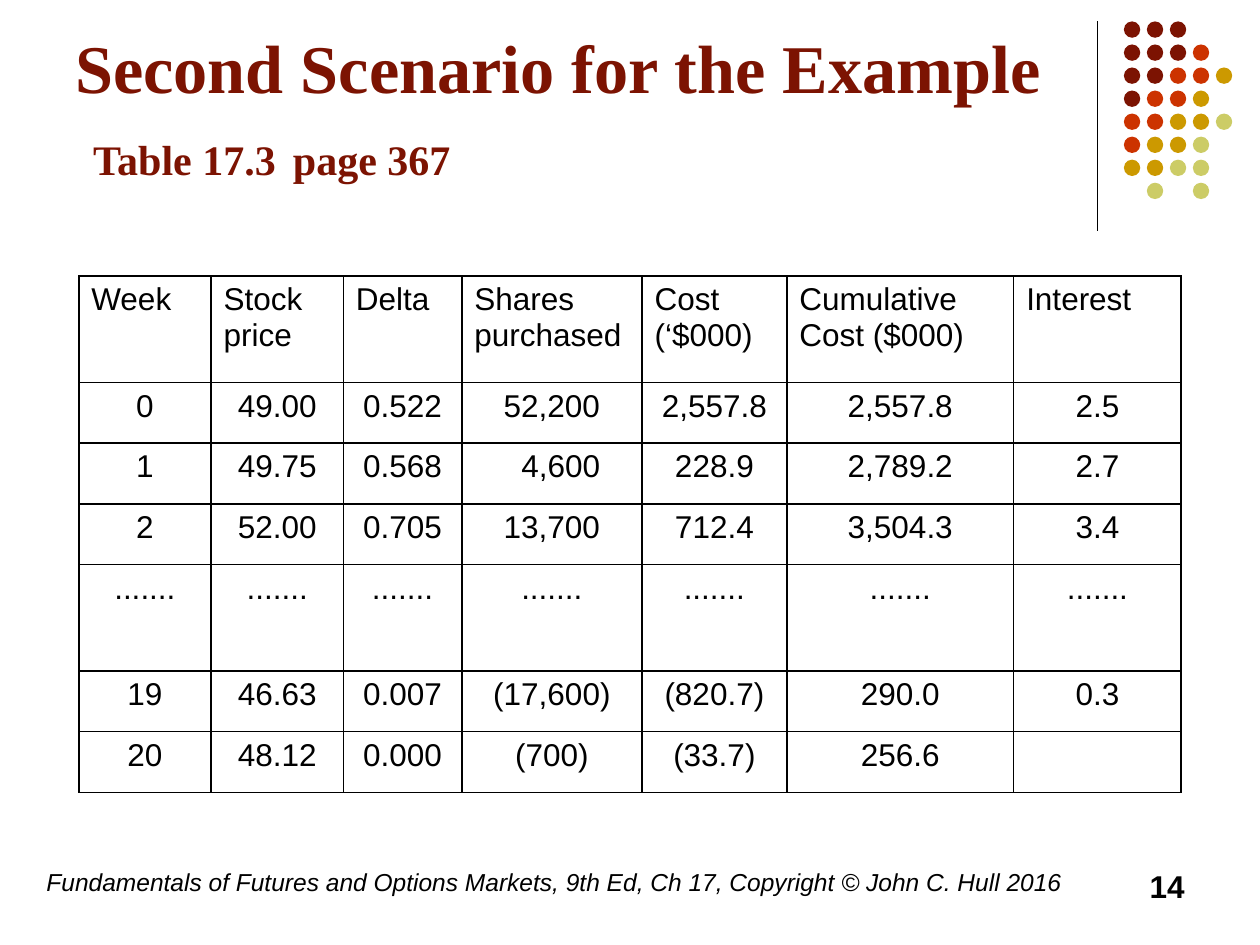
from dataclasses import dataclass
from lxml.etree import SubElement
from pptx import Presentation
from pptx.dml.color import RGBColor
from pptx.enum.shapes import MSO_CONNECTOR, MSO_SHAPE
from pptx.enum.text import MSO_ANCHOR, PP_ALIGN
from pptx.oxml.ns import qn
from pptx.util import Inches, Pt


@dataclass(frozen=True)
class Theme:
    ink: str = "000000"
    maroon: str = "7C1302"
    red: str = "CC3300"
    gold: str = "CC9900"
    olive: str = "CCCC66"
    serif: str = "Times New Roman"
    sans: str = "Arial"
    title: float = 39
    reference: float = 24
    body: float = 18
    footer: float = 14
    rule: float = 0.75
    border: float = 1


@dataclass(frozen=True)
class Box:
    x: int
    y: int
    w: int
    h: int


T = Theme()
WIDTH, HEIGHT = Inches(10), Inches(7.5)
DOTS = ["MMM", "MMMR", "MMRRG", "MRRG", "RRGGO", "RGGO", "GGOO", " O O"]
DOT_COLORS = {"M": T.maroon, "R": T.red, "G": T.gold, "O": T.olive}
COLUMNS = [1.05, 1.05, 0.94, 1.43, 1.15, 1.8, 1.33]
ROWS = [7, 4, 4, 4, 7, 4, 4]
HEDGE = [
    ["Week", "Stock price", "Delta", "Shares purchased", "Cost (‘$000)",
     "Cumulative\nCost ($000)", "Interest"],
    ["0", "49.00", "0.522", "52,200", "2,557.8", "2,557.8", "2.5"],
    ["1", "49.75", "0.568", "4,600", "228.9", "2,789.2", "2.7"],
    ["2", "52.00", "0.705", "13,700", "712.4", "3,504.3", "3.4"],
    ["......."] * len(COLUMNS),
    ["19", "46.63", "0.007", "(17,600)", "(820.7)", "290.0", "0.3"],
    ["20", "48.12", "0.000", "(700)", "(33.7)", "256.6", ""],
]
INDENTED = (2, 3)


def share(x, y, w, h):
    return Box(int(WIDTH * x / 100), int(HEIGHT * y / 100),
               int(WIDTH * w / 100), int(HEIGHT * h / 100))


def style(font, size, name=T.sans, color=T.ink, bold=False, italic=False):
    font.size, font.name = Pt(size), name
    font.bold, font.italic = bold, italic
    font.color.rgb = RGBColor.from_string(color)


def indent(p, inches):
    p._p.get_or_add_pPr().set("marL", str(Inches(inches)))


def add_text(s, box):
    tf = s.shapes.add_textbox(box.x, box.y, box.w, box.h).text_frame
    tf.word_wrap = True
    return tf


def add_title(s, box):
    tf = add_text(s, box)
    tf.vertical_anchor = MSO_ANCHOR.BOTTOM
    p = tf.paragraphs[0]
    p.text = "Second Scenario for the Example"
    style(p.font, T.title, T.serif, T.maroon, bold=True)
    p = tf.add_paragraph()
    indent(p, 0.14)
    style(p.font, T.title, T.serif, T.maroon, bold=True)
    for text, size in [("Table 17.3", T.reference), (" ", T.title),
                       ("page 367", T.reference)]:
        r = p.add_run()
        r.text = text
        r.font.size = Pt(size)


def add_line_of_text(s, box, text, size, align=PP_ALIGN.LEFT, **look):
    p = add_text(s, box).paragraphs[0]
    p.text = text
    p.alignment = align
    style(p.font, size, **look)


def add_rule(s, box):
    line = s.shapes.add_connector(MSO_CONNECTOR.STRAIGHT, box.x, box.y,
                                  box.x + box.w, box.y + box.h)
    line.line.width = Pt(T.rule)
    line.line.color.rgb = RGBColor.from_string(T.ink)
    SubElement(line._element.spPr, qn("a:effectLst"))


def add_dots(s, box):
    d = Inches(0.13)
    dx = (box.w - d) / (max(map(len, DOTS)) - 1)
    dy = (box.h - d) / (len(DOTS) - 1)
    group = s.shapes.add_group_shape()
    for i, row in enumerate(DOTS):
        for j, key in enumerate(row):
            if key == " ":
                continue
            sp = group.shapes.add_shape(MSO_SHAPE.OVAL, int(box.x + j * dx),
                                        int(box.y + i * dy), d, d)
            sp.shadow.inherit = False
            sp.fill.solid()
            sp.fill.fore_color.rgb = RGBColor.from_string(DOT_COLORS[key])
            sp.line.fill.background()


def add_borders(cell):
    tcPr = cell._tc.get_or_add_tcPr()
    for i, side in enumerate(("lnL", "lnR", "lnT", "lnB")):
        ln = tcPr.makeelement(qn(f"a:{side}"), {"w": str(Pt(T.border))})
        fill = SubElement(ln, qn("a:solidFill"))
        SubElement(fill, qn("a:srgbClr"), val=T.ink)
        tcPr.insert(i, ln)


def add_hedge_table(s, box):
    table = s.shapes.add_table(len(ROWS), len(COLUMNS),
                               box.x, box.y, box.w, box.h).table
    table.first_row = table.horz_banding = False
    for column, weight in zip(table.columns, COLUMNS):
        column.width = int(box.w * weight / sum(COLUMNS))
    for row, weight in zip(table.rows, ROWS):
        row.height = int(box.h * weight / sum(ROWS))
    for i, values in enumerate(HEDGE):
        for j, text in enumerate(values):
            cell = table.cell(i, j)
            cell.fill.background()
            add_borders(cell)
            cell.text_frame.text = text
            for p in cell.text_frame.paragraphs:
                p.alignment = PP_ALIGN.CENTER if i else PP_ALIGN.LEFT
                style(p.font, T.body)
                if (i, j) == INDENTED:
                    indent(p, 0.14)


def main():
    prs = Presentation()
    prs.slide_width, prs.slide_height = WIDTH, HEIGHT
    s = prs.slides.add_slide(prs.slide_layouts[6])
    add_rule(s, share(87.1, 2.27, 0, 22.13))
    add_dots(s, share(89.2, 2.27, 8.6, 18.8))
    add_title(s, share(5, 1.73, 82.5, 18.93))
    add_line_of_text(
        s, share(2.7, 91.07, 82.7, 6.67),
        "Fundamentals of Futures and Options Markets, 9th Ed, Ch 17, "
        "Copyright © John C. Hull 2016", T.footer, italic=True)
    add_hedge_table(s, share(6.25, 29.2, 87.5, 54.67))
    add_line_of_text(s, share(71.7, 91.07, 23.3, 6.67), "14", T.body,
                     PP_ALIGN.RIGHT, bold=True)
    prs.save("out.pptx")


if __name__ == "__main__":
    main()
